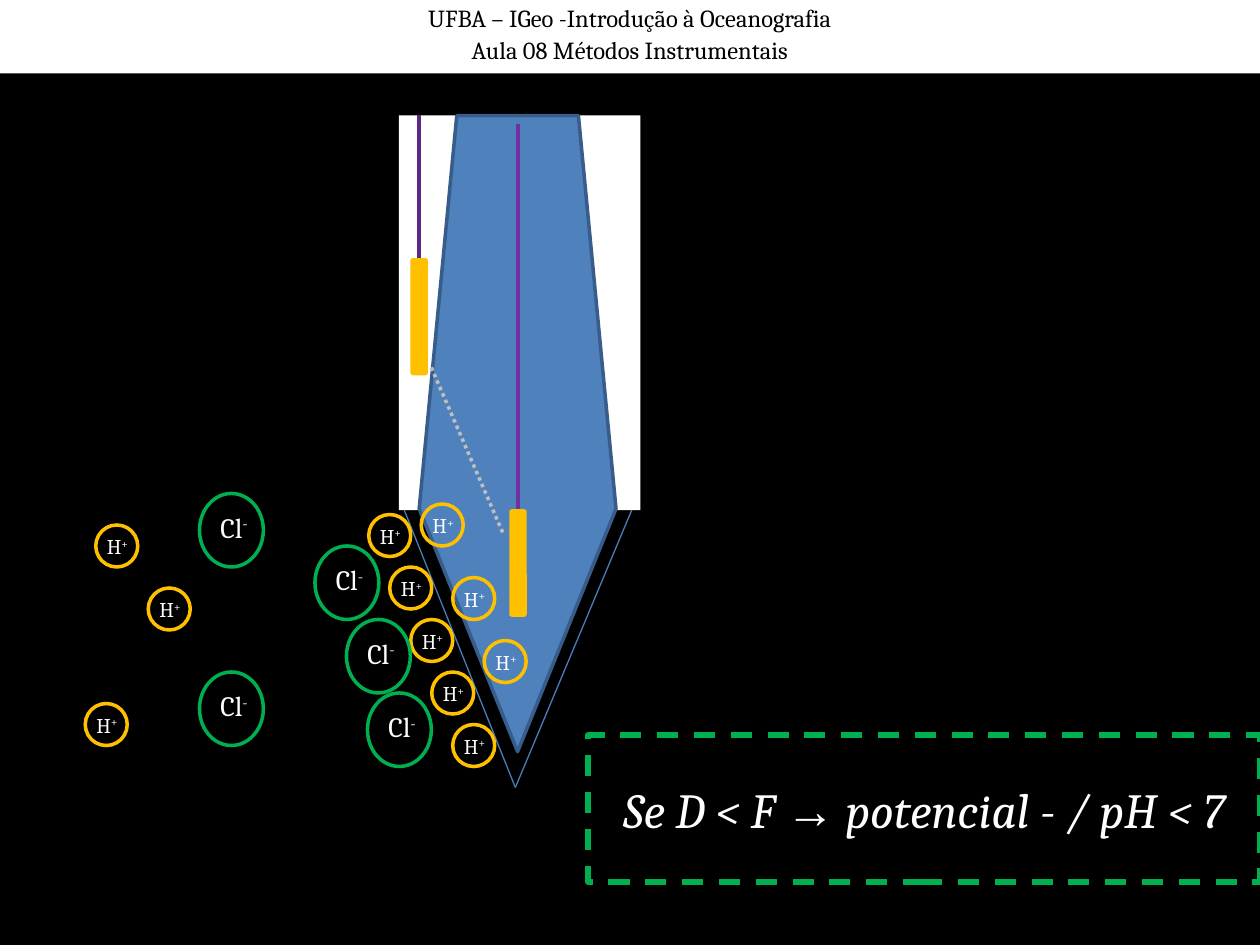
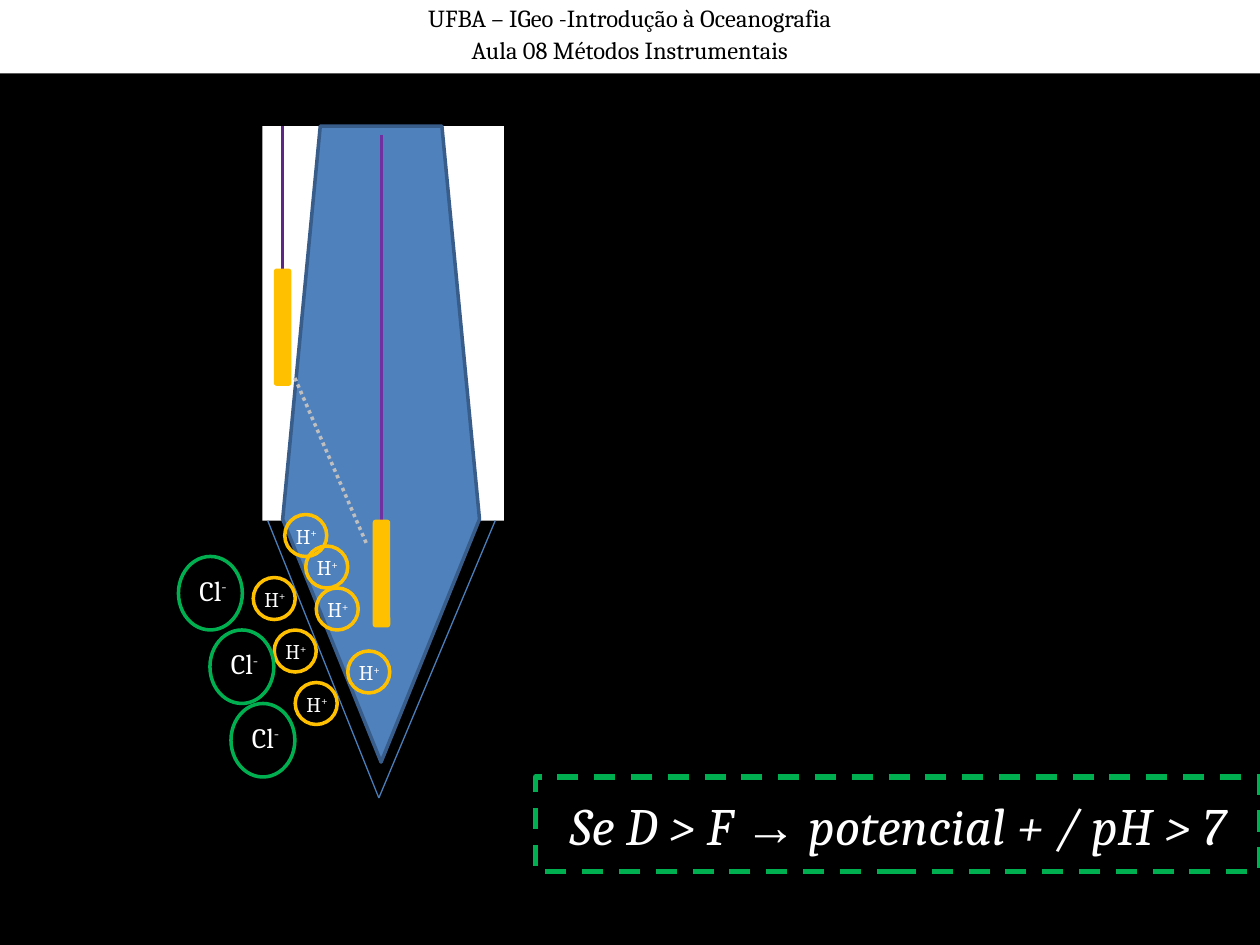
"""Build two slides on how a pH electrode reads hydrogen ions on both sides of its membrane."""
import pptx
import pptx.dml.color
import pptx.enum.dml
import pptx.enum.shapes
import pptx.enum.text
import pptx.oxml
import pptx.util

Pt = pptx.util.Pt
RGB = pptx.dml.color.RGBColor
SHAPE = pptx.enum.shapes.MSO_SHAPE
DASH = pptx.enum.dml.MSO_LINE
ALIGN = pptx.enum.text.PP_ALIGN
ANCHOR = pptx.enum.text.MSO_ANCHOR

HEADER = ["UFBA – IGeo -Introdução à Oceanografia", "Aula 08 Métodos Instrumentais"]

CASES = [
    {
        "probe": (228, 66),
        "H": [(210 + 12 * step, 294 + 30 * step) for step in range(5)]
        + [(240, 288), (258, 330), (276, 366), (54, 300), (84, 336), (48, 402)],
        "Cl": [(180, 312), (198, 354), (210, 396), (114, 282), (114, 384)],
        "verdict": ("Se D < F ", "→", " potencial - / pH < 7"),
        "verdict_box": (336, 420, 384, 84),
        "verdict_size": 28,
    },
    {
        "probe": (150, 72),
        "H": [(144 + 12 * step, 330 + 30 * step) for step in range(3)]
        + [(174, 312), (162, 294), (180, 336), (198, 372)],
        "Cl": [(102, 318), (120, 360), (132, 402)],
        "verdict": ("Se D > F ", "→", " potencial + / pH > 7"),
        "verdict_box": (306, 444, 414, 54),
        "verdict_size": 30,
    },
]

BLACK = RGB(0x00, 0x00, 0x00)
WHITE = RGB(0xFF, 0xFF, 0xFF)
GLASS_BLUE = RGB(0x4F, 0x81, 0xBD)
GLASS_EDGE = RGB(0x38, 0x5D, 0x8A)
MEMBRANE_BLUE = RGB(0x4A, 0x7E, 0xBB)
REFERENCE_PURPLE = RGB(0x5D, 0x28, 0x84)
INNER_PURPLE = RGB(0x70, 0x30, 0xA0)
AMBER = RGB(0xFF, 0xC0, 0x00)
GREEN = RGB(0x00, 0xB0, 0x50)
GREY = RGB(0xBF, 0xBF, 0xBF)

IONS = {
    "H": {"charge": "+", "size": 12, "color": AMBER, "ring": (0.7, 0, 24, 24), "label": (0, 1.4, 78, 21.6)},
    "Cl": {"charge": "-", "size": 16, "color": GREEN, "ring": (0, 0, 36.5, 42), "label": (4.8, 6, 54, 26.6)},
}

ELECTRODES = [(6.5, 81.5, 10, 67), (63, 225, 10, 61.5)]
LINES = [
    ((11.5, 0), (11.5, 148), REFERENCE_PURPLE, 2, None),
    ((68, 5), (68, 286.5), INNER_PURPLE, 2, None),
    ((3, 225.5), (66.5, 384), MEMBRANE_BLUE, 0.75, None),
    ((66.5, 384), (133, 225.5), MEMBRANE_BLUE, 0.75, None),
    ((18.5, 144), (60, 240), GREY, 2, DASH.ROUND_DOT),
]


def shifted(box, origin):
    return (box[0] + origin[0], box[1] + origin[1], *box[2:])


def add_outline(slide, kind, box, fill=None, line=None, width=2, dash=None):
    outline = slide.shapes.add_shape(kind, *map(Pt, box))
    outline.shadow.inherit = False
    if fill is None:
        outline.fill.background()
    else:
        outline.fill.solid()
        outline.fill.fore_color.rgb = fill
    if line is None:
        outline.line.fill.background()
    else:
        outline.line.color.rgb = line
        outline.line.width = Pt(width)
        if dash:
            outline.line.dash_style = dash
    return outline


def add_line(slide, start, end, color, width, dash):
    line = slide.shapes.add_connector(
        pptx.enum.shapes.MSO_CONNECTOR.STRAIGHT, *map(Pt, start + end))
    line.line.color.rgb = color
    line.line.width = Pt(width)
    if dash:
        line.line.dash_style = dash
    pptx.oxml.xmlchemy.OxmlElement
    line._element.spPr.append(pptx.oxml.xmlchemy.OxmlElement("a:effectLst"))


def write(frame, paragraphs, size, color, align=ALIGN.LEFT, anchor=ANCHOR.TOP,
          italic=False, spacing=None, before=0, raised=()):
    frame.word_wrap = True
    frame.vertical_anchor = anchor
    for index, pieces in enumerate(paragraphs):
        paragraph = frame.add_paragraph() if index else frame.paragraphs[0]
        paragraph.alignment = align
        if spacing:
            paragraph.line_spacing = spacing
        if index:
            paragraph.space_before = Pt(before)
        for piece in pieces:
            run = paragraph.add_run()
            run.text = piece
            run.font.name = "Arial" if piece == "→" else "Cambria"
            run.font.size = Pt(size)
            run.font.italic = italic
            run.font.color.rgb = color
            if piece in raised:
                run._r.get_or_add_rPr().set("baseline", "30000")


def add_header(slide):
    band = add_outline(slide, SHAPE.RECTANGLE, (0, 0, 720, 42), fill=WHITE)
    write(band.text_frame, [[text] for text in HEADER], 14, BLACK,
          align=ALIGN.CENTER, spacing=0.9, before=3.5)


def add_probe(slide, origin):
    add_outline(slide, SHAPE.RECTANGLE, shifted((0, 0, 138, 225.5), origin), fill=WHITE)
    bulb = add_outline(slide, SHAPE.REGULAR_PENTAGON, shifted((11.5, 0, 112.5, 363.5), origin),
                       fill=GLASS_BLUE, line=GLASS_EDGE)
    bulb.rotation = 180
    for start, end, color, width, dash in LINES:
        add_line(slide, shifted(start, origin), shifted(end, origin), color, width, dash)
    for box in ELECTRODES:
        electrode = add_outline(slide, SHAPE.ROUNDED_RECTANGLE, shifted(box, origin), fill=AMBER)
        electrode.adjustments[0] = 0.16


def add_ion(slide, symbol, origin):
    ion = IONS[symbol]
    label = slide.shapes.add_textbox(*map(Pt, shifted(ion["label"], origin)))
    write(label.text_frame, [(symbol, ion["charge"])], ion["size"], WHITE, raised=ion["charge"])
    add_outline(slide, SHAPE.OVAL, shifted(ion["ring"], origin), line=ion["color"])


def add_case(deck, case):
    slide = deck.slides.add_slide(deck.slide_layouts[6])
    slide.background.fill.solid()
    slide.background.fill.fore_color.rgb = BLACK
    add_header(slide)
    add_probe(slide, case["probe"])
    for symbol in IONS:
        for origin in case[symbol]:
            add_ion(slide, symbol, origin)
    verdict = add_outline(slide, SHAPE.RECTANGLE, case["verdict_box"],
                          line=GREEN, width=3, dash=DASH.DASH)
    write(verdict.text_frame, [case["verdict"]], case["verdict_size"], WHITE,
          align=ALIGN.CENTER, anchor=ANCHOR.MIDDLE, italic=True)


def main():
    deck = pptx.Presentation()
    deck.slide_width, deck.slide_height = Pt(720), Pt(540)
    for case in CASES:
        add_case(deck, case)
    deck.save("out.pptx")


if __name__ == "__main__":
    main()
